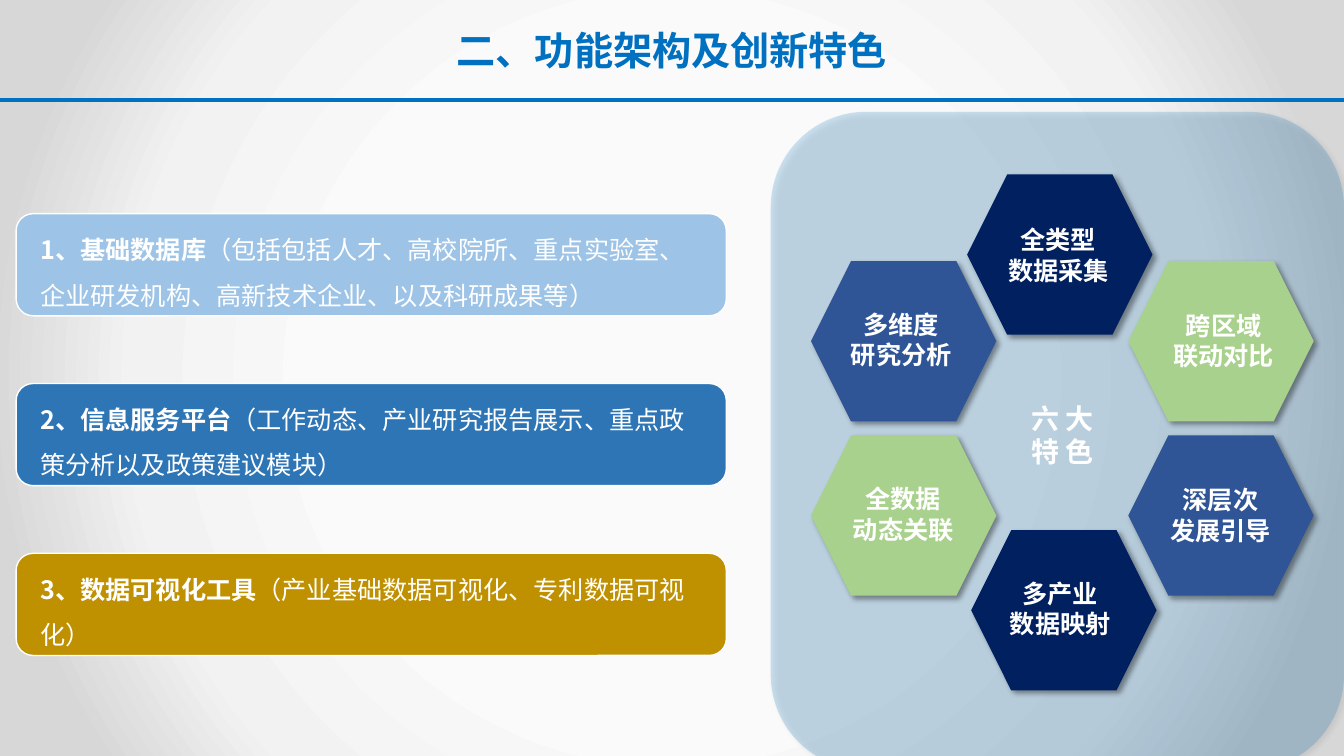
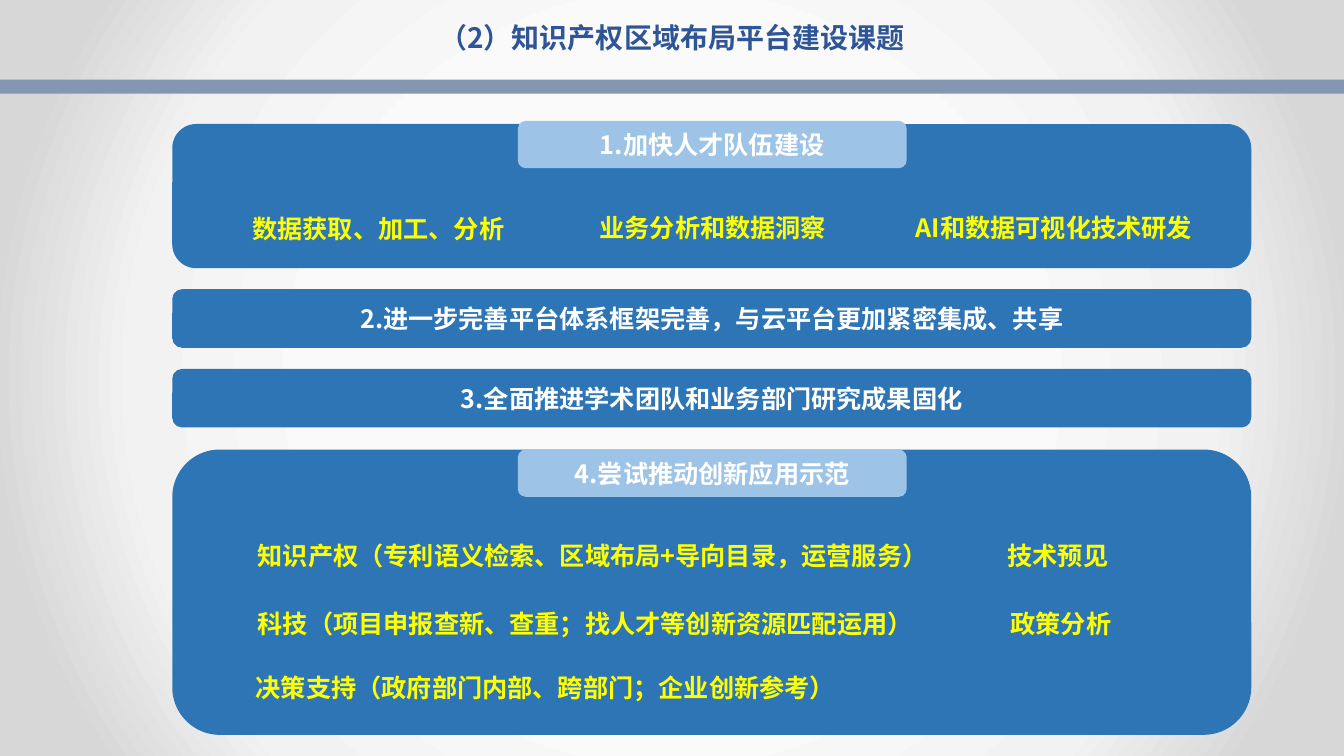
import dataclasses

import lxml.etree
import pptx
import pptx.dml.color
import pptx.enum.shapes
import pptx.enum.text
import pptx.oxml.ns
import pptx.util

Pt = pptx.util.Pt
qn = pptx.oxml.ns.qn
SHAPE = pptx.enum.shapes.MSO_SHAPE
ALIGN = pptx.enum.text.PP_ALIGN
ANCHOR = pptx.enum.text.MSO_ANCHOR
AUTO_SIZE = pptx.enum.text.MSO_AUTO_SIZE

FONT = "Noto Sans CJK SC"
BODY_SIZE = 18
PAGE_WIDTH, PAGE_HEIGHT = 960.5, 540
COLOURS = {
    "accent": "0070C0",
    "navy": "002060",
    "indigo": "2F5597",
    "green": "A9D18E",
    "blue": "2E75B6",
    "sky": "9DC3E6",
    "gold": "BF9000",
    "slate": "8497B0",
    "yellow": "FFFF00",
    "white": "FFFFFF",
    "shadow": "000000",
    "centre": "FAFAFA",
    "middle": "F2F2F2",
    "edge": "D7D7D7",
}
BACKGROUND_STOPS = ((44, "centre"), (70, "middle"), (89, "edge"))


@dataclasses.dataclass(frozen=True)
class Place:
    left: float
    top: float
    width: float
    height: float

    def lengths(self) -> list:
        return [Pt(value) for value in dataclasses.astuple(self)]


@dataclasses.dataclass(frozen=True)
class Card:
    lead: str
    detail: str
    colour: str


@dataclasses.dataclass(frozen=True)
class Feature:
    left: float
    top: float
    colour: str
    text: str
    text_left: float
    text_top: float


@dataclasses.dataclass(frozen=True)
class Section:
    top: float
    height: float
    text: str = ""


@dataclasses.dataclass(frozen=True)
class Topic:
    place: Place
    text: str
    align: ALIGN = ALIGN.CENTER


CARDS = (
    Card("1、基础数据库",
         "（包括包括人才、高校院所、重点实验室、企业研发机构、高新技术企业、以及科研成果等）", "sky"),
    Card("2、信息服务平台",
         "（工作动态、产业研究报告展示、重点政策分析以及政策建议模块）", "blue"),
    Card("3、数据可视化工具", "（产业基础数据可视化、专利数据可视化）", "gold"),
)
FEATURES = (
    Feature(579.6, 186.5, "indigo", "多维度\n研究分析", 600.5, 217.4),
    Feature(691.2, 124.6, "navy", "全类型\n数据采集", 712.8, 157),
    Feature(806.4, 186.5, "green", "跨区域\n联动对比", 830.9, 218.2),
    Feature(806.4, 311, "indigo", "深层次\n发展引导", 828.7, 342.7),
    Feature(579.6, 311, "green", "全数据\n动态关联", 601.9, 342),
    Feature(694.1, 378.7, "navy", "多产业\n数据映射", 714.2, 409.7),
)
SECTIONS = (
    Section(88.6, 103),
    Section(206.6, 41.8, "2.进一步完善平台体系框架完善，与云平台更加紧密集成、共享"),
    Section(263.5, 41.8, "3.全面推进学术团队和业务部门研究成果固化"),
    Section(321.1, 203.8),
)
TABS = (
    Section(86.4, 33.8, "1.加快人才队伍建设"),
    Section(321.1, 33.8, "4.尝试推动创新应用示范"),
)
TOPICS = (
    Topic(Place(168.5, 146.2, 203.8, 33.8), "数据获取、加工、分析"),
    Topic(Place(407.5, 145.4, 203.8, 33.8), "业务分析和数据洞察"),
    Topic(Place(645.8, 145.4, 214.6, 33.8), "AI和数据可视化技术研发"),
    Topic(Place(177.1, 380.2, 501.8, 33.8),
          "知识产权（专利语义检索、区域布局+导向目录，运营服务）", ALIGN.LEFT),
    Topic(Place(177.1, 428.4, 501.8, 33.8),
          "科技（项目申报查新、查重；找人才等创新资源匹配运用）", ALIGN.LEFT),
    Topic(Place(688.3, 380.2, 135.4, 33.8), "技术预见"),
    Topic(Place(690.5, 428.4, 135.4, 33.8), "政策分析"),
    Topic(Place(175.7, 474.5, 501.8, 33.8),
          "决策支持（政府部门内部、跨部门；企业创新参考）", ALIGN.LEFT),
)


def rgb(colour: str) -> pptx.dml.color.RGBColor:
    return pptx.dml.color.RGBColor.from_string(COLOURS[colour])


def add_node(parent, tag: str, **attributes):
    return lxml.etree.SubElement(
        parent, qn(tag), {name: str(value) for name, value in attributes.items()})


def set_background(master) -> None:
    """Give the master a round gradient that every slide inherits."""
    master.background.fill.solid()
    properties = master.element.find(".//" + qn("p:bgPr"))
    properties.remove(properties.find(qn("a:solidFill")))
    gradient = add_node(properties, "a:gradFill", rotWithShape=1)
    properties.insert(0, gradient)
    stops = add_node(gradient, "a:gsLst")
    for position, colour in BACKGROUND_STOPS:
        stop = add_node(stops, "a:gs", pos=position * 1000)
        add_node(stop, "a:srgbClr", val=COLOURS[colour])
    circle = add_node(gradient, "a:path", path="circle")
    add_node(circle, "a:fillToRect", l=50000, t=50000, r=50000, b=50000)


def add_shadow(shape) -> None:
    effects = shape.element.spPr.find(qn("a:effectLst"))
    shadow = add_node(effects, "a:outerShdw", blurRad=Pt(4), dist=Pt(3),
                      dir=45 * 60000, algn="tl", rotWithShape=0)
    tint = add_node(shadow, "a:srgbClr", val=COLOURS["shadow"])
    add_node(tint, "a:alpha", val=40000)


def set_alpha(shape, percent: int) -> None:
    tint = shape.element.spPr.find(qn("a:solidFill") + "/" + qn("a:srgbClr"))
    add_node(tint, "a:alpha", val=percent * 1000)


def style_text(shape, colour: str, size: float = BODY_SIZE,
               align: ALIGN = ALIGN.CENTER, bold: bool = True) -> None:
    for paragraph in shape.text_frame.paragraphs:
        paragraph.alignment = align
        font = paragraph.font
        font.name, font.size, font.bold = FONT, Pt(size), bold
        font.color.rgb = rgb(colour)
    for latin in list(shape.element.iter(qn("a:latin"))):
        east_asian = add_node(latin.getparent(), "a:ea", typeface=FONT)
        latin.addnext(east_asian)


def add_block(page, kind: SHAPE, place: Place, colour: str, text: str = ""):
    block = page.shapes.add_shape(kind, *place.lengths())
    block.shadow.inherit = False
    block.fill.solid()
    block.fill.fore_color.rgb = rgb(colour)
    block.line.fill.background()
    if text:
        block.text_frame.text = text
        block.text_frame.word_wrap = True
        block.text_frame.vertical_anchor = ANCHOR.MIDDLE
        style_text(block, "white")
    return block


def add_label(page, place: Place, text: str, size: float = BODY_SIZE,
              align: ALIGN = ALIGN.CENTER) -> None:
    """Add white text that keeps its own line breaks."""
    box = page.shapes.add_textbox(*place.lengths())
    box.text_frame.text = text
    box.text_frame.word_wrap = False
    box.text_frame.auto_size = AUTO_SIZE.SHAPE_TO_FIT_TEXT
    style_text(box, "white", size, align)


def add_topic(page, topic: Topic) -> None:
    box = page.shapes.add_textbox(*topic.place.lengths())
    box.text_frame.text = topic.text
    box.text_frame.word_wrap = True
    box.text_frame.vertical_anchor = ANCHOR.MIDDLE
    style_text(box, "yellow", align=topic.align)


def add_card(page, place: Place, card: Card) -> None:
    block = add_block(page, SHAPE.ROUNDED_RECTANGLE, place, card.colour)
    block.line.color.rgb = rgb("white")
    block.line.width = Pt(1)
    frame = block.text_frame
    frame.word_wrap = True
    frame.vertical_anchor = ANCHOR.MIDDLE
    frame.margin_left = frame.margin_right = Pt(13.7)
    frame.margin_top = frame.margin_bottom = Pt(13.7)
    paragraph = frame.paragraphs[0]
    paragraph.line_spacing = 1.5
    paragraph.space_after = Pt(6.3)
    for text, bold in ((card.lead, True), (card.detail, False)):
        span = paragraph.add_run()
        span.text = text
        span.font.bold = bold
    style_text(block, "white", align=ALIGN.LEFT, bold=False)


def add_page(deck, title: str, place: Place, size: float, colour: str):
    page = deck.slides.add_slide(deck.slide_layouts.get_by_name("Title Only"))
    box = page.shapes.title
    box.left, box.top, box.width, box.height = place.lengths()
    box.text_frame.text = title
    box.text_frame.word_wrap = True
    box.text_frame.auto_size = AUTO_SIZE.NONE
    box.text_frame.vertical_anchor = ANCHOR.TOP
    style_text(box, colour, size)
    return page


def build_features(deck) -> None:
    page = add_page(deck, "二、功能架构及创新特色",
                    Place(120.2, 15.1, 720, 41), 28, "accent")
    panel = add_block(page, SHAPE.ROUNDED_RECTANGLE,
                      Place(550.8, 79.9, 409.7, 470.2), "accent")
    set_alpha(panel, 19)
    add_shadow(panel)
    rule = page.shapes.add_connector(
        pptx.enum.shapes.MSO_CONNECTOR.STRAIGHT,
        Pt(0), Pt(71.3), Pt(PAGE_WIDTH), Pt(71.3))
    rule.line.color.rgb = rgb("accent")
    rule.line.width = Pt(3)
    add_node(rule.element.spPr, "a:effectLst")

    for index, card in enumerate(CARDS):
        add_card(page, Place(11.5, 152.6 + 121.3 * index, 507.6, 73), card)
    for feature in FEATURES:
        hexagon = add_block(page, SHAPE.HEXAGON,
                            Place(feature.left, feature.top, 132.5, 114.5),
                            feature.colour)
        add_shadow(hexagon)
    for feature in FEATURES:
        add_label(page, Place(feature.text_left, feature.text_top, 87.1, 51.1),
                  feature.text)
    add_label(page, Place(730.1, 283, 61.2, 55.4), "六 大\n特 色", 20, ALIGN.LEFT)


def build_platform(deck) -> None:
    page = add_page(deck, "（2）知识产权区域布局平台建设课题",
                    Place(228.2, 10.8, 504, 31.7), 20, "indigo")
    add_block(page, SHAPE.RECTANGLE, Place(0, 56.9, PAGE_WIDTH, 10.1), "slate")
    for sections, left, width, colour in (
            (SECTIONS, 123.1, 771.1, "blue"), (TABS, 370.1, 277.9, "sky")):
        for section in sections:
            add_block(page, SHAPE.ROUNDED_RECTANGLE,
                      Place(left, section.top, width, section.height),
                      colour, section.text)
    for topic in TOPICS:
        add_topic(page, topic)


def main() -> None:
    deck = pptx.Presentation()
    deck.slide_width, deck.slide_height = Pt(PAGE_WIDTH), Pt(PAGE_HEIGHT)
    set_background(deck.slide_master)
    build_features(deck)
    build_platform(deck)
    deck.save("out.pptx")


if __name__ == "__main__":
    main()
